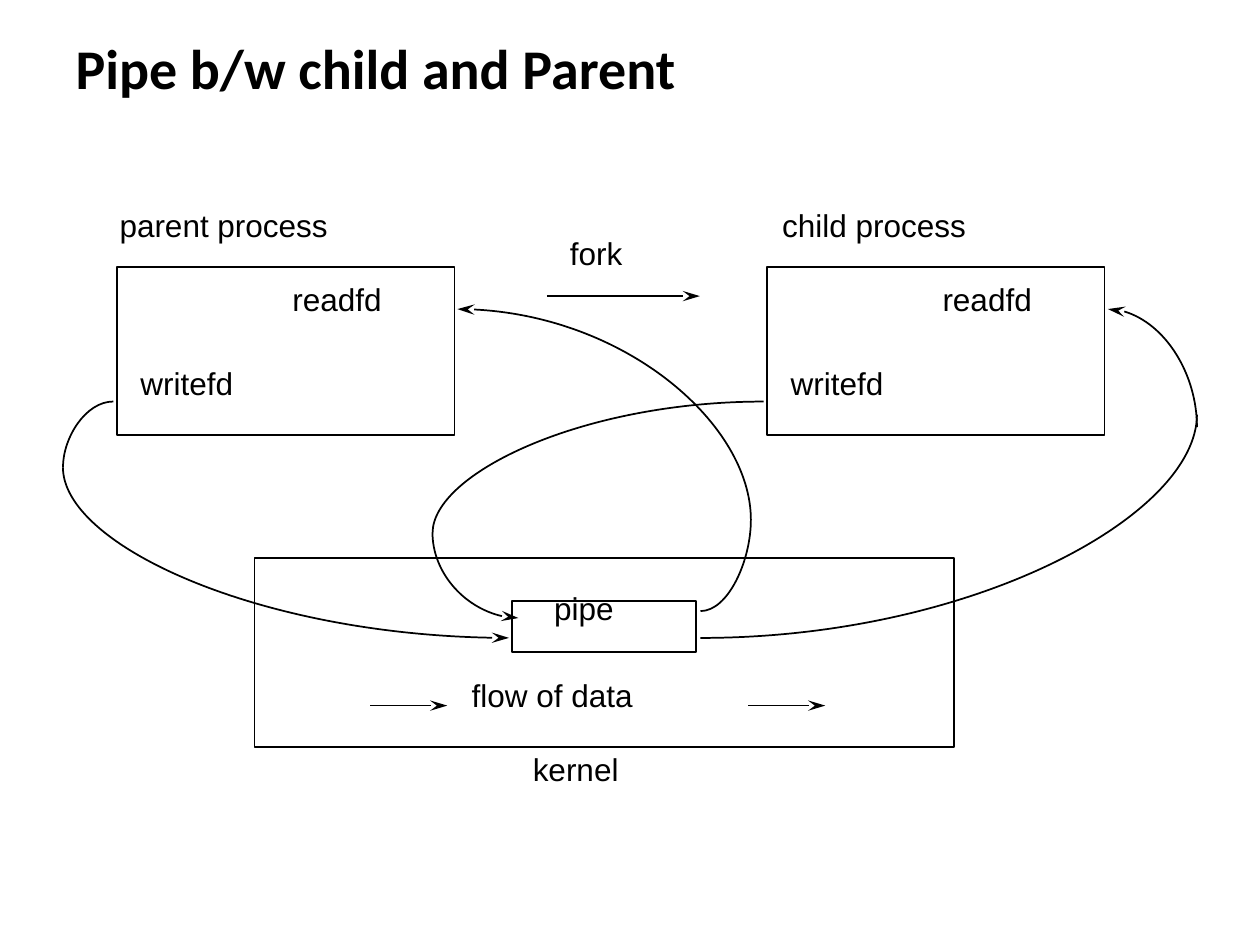
"""Build a slide on a pipe shared by a parent and a child process."""
from lxml import etree
from pptx import Presentation
from pptx.dml.color import RGBColor
from pptx.enum.shapes import MSO_CONNECTOR, MSO_SHAPE
from pptx.enum.text import MSO_ANCHOR, PP_ALIGN
from pptx.oxml.ns import qn
from pptx.util import Inches, Pt

RECT, STRAIGHT = MSO_SHAPE.RECTANGLE, MSO_CONNECTOR.STRAIGHT
LEFT, TOP, MIDDLE = PP_ALIGN.LEFT, MSO_ANCHOR.TOP, MSO_ANCHOR.MIDDLE
BLACK = "000000"
BEND = 0.55
rgb = RGBColor.from_string


def write(tf, text, font="Arial", size=18, bold=False, anchor=TOP, spacing=1.0):
    tf.word_wrap = True
    tf.vertical_anchor = anchor
    p = tf.paragraphs[0]
    p.alignment = LEFT
    p.line_spacing = spacing
    r = p.add_run()
    r.text = text
    r.font.name, r.font.size, r.font.bold = font, Pt(size), bold
    r.font.color.rgb = rgb(BLACK)


def outline(sp, arrow=None):
    sp.line.color.rgb = rgb(BLACK)
    sp.line.width = Pt(1)
    if arrow:
        ln = sp._element.spPr.find(qn("a:ln"))
        etree.SubElement(ln, qn(f"a:{arrow}"), type="stealth", w="med", len="lg")


prs = Presentation()
prs.slide_width, prs.slide_height = Inches(10), Inches(7.5)
U = prs.slide_width // 100
s = prs.slides.add_slide(prs.slide_layouts[5])

title = s.shapes.title
title.left, title.top, title.width, title.height = 5 * U, 3 * U, 90 * U, int(5.3 * U)
write(title.text_frame, "Pipe b/w child and Parent", font="Calibri", size=32,
      bold=True, anchor=MIDDLE, spacing=0.9)

boxes = [(20.2, 44.3, 55.5, 15), (40.65, 47.7, 14.6, 4.05)]
labels = [
    ("pipe", 43, 46.25, 10.1),
    ("flow of data", 36.45, 53.2, 23.1),
    ("kernel", 41.3, 59.05, 13.5),
    ("fork", 44.25, 18.1, 9.2),
    ("parent process", 8.5, 15.85, 29.2),
    ("child process", 61.1, 15.85, 26.1),
]
for x in (9.27, 60.87):
    boxes.append((x, 21.22, 26.8, 13.3))
    labels += [("readfd", x + 12.95, 21.7, 13.9), ("writefd", x + 0.9, 28.4, 14.4)]

for box in boxes:
    sp = s.shapes.add_shape(RECT, *(int(v * U) for v in box))
    sp.shadow.inherit = False
    sp.fill.background()
    outline(sp)

for text, x, y, w in labels:
    sp = s.shapes.add_textbox(*(int(v * U) for v in (x, y, w, 6.3)))
    write(sp.text_frame, text)

curves = [
    (40.4, 50.63, 5, 37.1, "headEnd"),
    (9, 31.87, 5, 37.1, None),
    (36.3, 24.53, 59.6, 41.25, "headEnd"),
    (55.6, 48.5, 59.6, 41.25, None),
    (41.15, 49.05, 34.33, 42.3, "headEnd"),
    (60.6, 31.87, 34.33, 42.3, None),
    (87.93, 24.53, 95, 33.9, "headEnd"),
    (55.6, 50.63, 95, 32.9, None),
]
for x1, y1, x2, y2, arrow in curves:
    level = (x1 + (x2 - x1) * BEND, y1)
    upright = (x2, y2 + (y1 - y2) * (1 - BEND))
    points = [(int(x * U), int(y * U)) for x, y in ((x1, y1), level, upright, (x2, y2))]
    builder = s.shapes.build_freeform(*points[0])
    builder.add_line_segments(points[1:], close=False)
    sp = builder.convert_to_shape()
    outlines = sp._element.spPr.find(".//" + qn("a:pathLst"))[0]
    bezier = etree.SubElement(outlines, qn("a:cubicBezTo"))
    for segment in outlines.findall(qn("a:lnTo")):
        bezier.append(segment[0])
        outlines.remove(segment)
    sp.shadow.inherit = False
    sp.fill.background()
    outline(sp, arrow)

for x1, x2, y in [(29.4, 35.5, 56), (59.4, 65.5, 56), (43.4, 55.55, 23.5)]:
    sp = s.shapes.add_connector(STRAIGHT, *(int(v * U) for v in (x1, y, x2, y)))
    outline(sp, "tailEnd")
    etree.SubElement(sp._element.spPr, qn("a:effectLst"))

prs.save("out.pptx")
